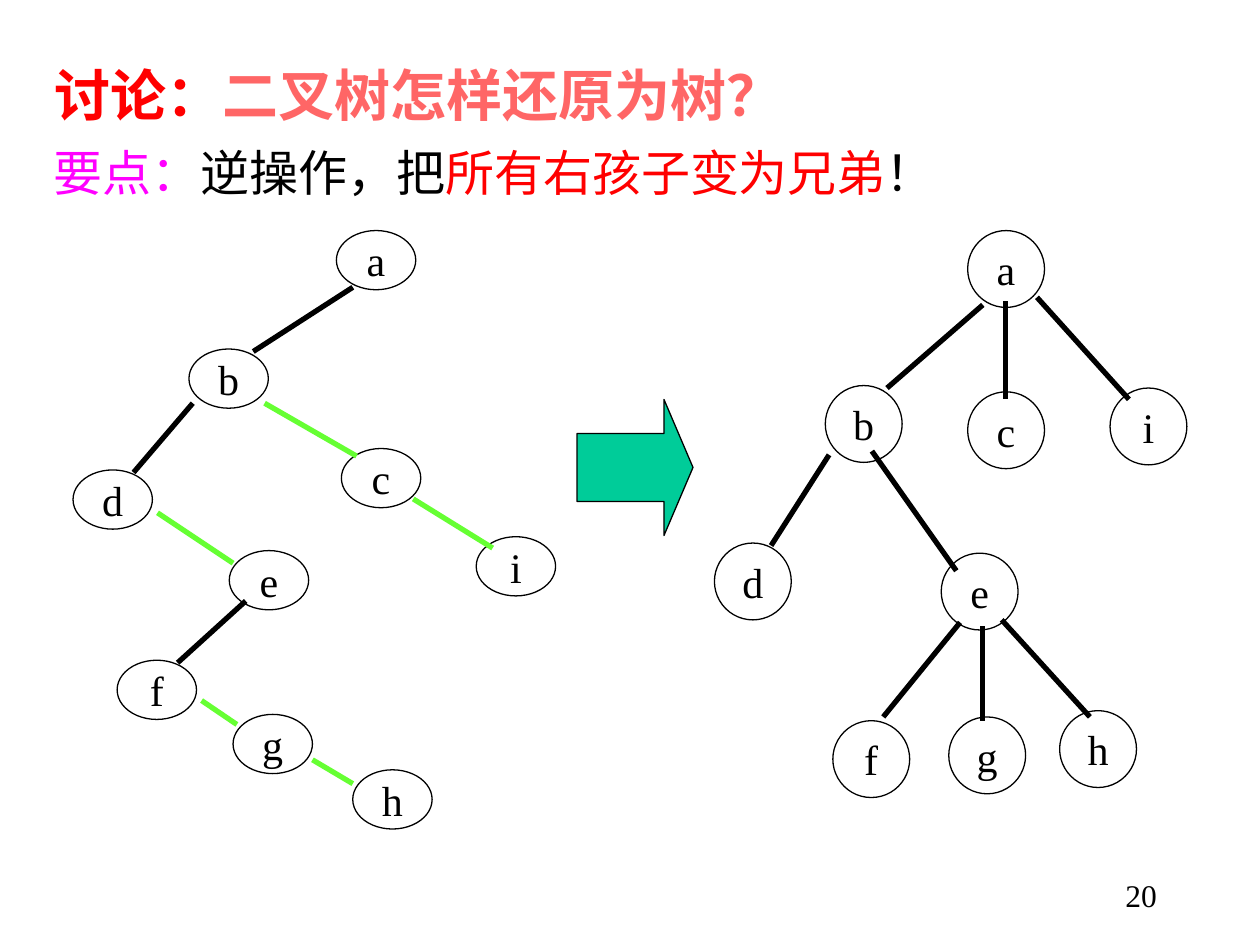
from lxml import etree
from pptx import Presentation
from pptx.dml.color import RGBColor
from pptx.enum import shapes, text
from pptx.oxml.ns import qn
from pptx.util import Inches, Pt

CJK, LATIN = "Noto Sans CJK SC", "Times New Roman"
BLACK, WHITE, GREEN, RED = "000000", "FFFFFF", "66FF33", "FF0000"

TITLE = [("讨论：", RED), ("二叉树怎样还原为树？", "FF6666")]
KEY_POINT = [("要点：", "FF00FF"), ("逆操作，把", BLACK),
             ("所有右孩子变为兄弟", RED), ("！", BLACK)]

# Each tree: node size and fill, top-left corner of each node, edges by colour
BINARY_TREE = {
    "size": (0.63, 0.47), "fill": None,
    "nodes": {"a": (2.67, 1.83), "b": (1.5, 2.77), "c": (2.71, 3.56),
              "d": (0.58, 3.73), "e": (1.82, 4.37), "f": (0.93, 5.24),
              "g": (1.85, 5.67), "h": (2.8, 6.11), "i": (3.78, 4.26)},
    "edges": {
        BLACK: [(2.8, 2.28, 2.01, 2.79), (1.53, 3.2, 1.06, 3.75),
                (1.95, 4.77, 1.41, 5.26)],
        GREEN: [(2.1, 3.2, 2.83, 3.62), (3.28, 3.96, 3.91, 4.35),
                (1.25, 4.07, 1.85, 4.47), (1.6, 5.56, 1.88, 5.75),
                (2.48, 6.03, 2.8, 6.22)],
    },
}
GENERAL_TREE = {
    "size": (0.61, 0.61), "fill": WHITE,
    "nodes": {"a": (7.68, 1.83), "b": (6.55, 3.06), "c": (7.68, 3.11),
              "i": (8.81, 3.08), "d": (5.67, 4.31), "e": (7.47, 4.39),
              "f": (6.61, 5.72), "g": (7.53, 5.69), "h": (8.41, 5.64)},
    "edges": {
        BLACK: [(7.8, 2.42, 7.04, 3.08), (7.98, 2.39, 7.98, 3.17),
                (8.23, 2.36, 8.96, 3.17), (6.58, 3.61, 6.12, 4.33),
                (6.92, 3.58, 7.59, 4.53), (7.62, 4.94, 7.01, 5.69),
                (7.8, 4.97, 7.8, 5.72), (7.95, 4.92, 8.65, 5.69)],
    },
}


def color(value):
    return RGBColor.from_string(value)


def inches(*lengths):
    return [Inches(length) for length in lengths]


def write(shape, runs, size, font=LATIN, bold=False, align=text.PP_ALIGN.LEFT,
          anchor=text.MSO_ANCHOR.TOP, wrap=True):
    frame = shape.text_frame
    frame.word_wrap = wrap
    frame.vertical_anchor = anchor
    para = frame.paragraphs[0]
    para.alignment = align
    for words, hue in runs:
        span = para.add_run()
        span.text = words
        span.font.size = Pt(size)
        span.font.bold = bold
        span.font.color.rgb = color(hue)
        span.font.name = font
        etree.SubElement(span.font._element, qn("a:ea"), typeface=font)


def add_outlined(page, preset, place, fill):
    shape = page.shapes.add_shape(preset, *inches(*place))
    shape.shadow.inherit = False
    if fill:
        shape.fill.solid()
        shape.fill.fore_color.rgb = color(fill)
    else:
        shape.fill.background()
    shape.line.color.rgb = color(BLACK)
    shape.line.width = Pt(0.75)
    return shape


def add_edge(page, ends, hue):
    edge = page.shapes.add_connector(shapes.MSO_CONNECTOR.STRAIGHT, *inches(*ends))
    edge.line.color.rgb = color(hue)
    edge.line.width = Pt(3)
    etree.SubElement(edge._element.spPr, qn("a:effectLst"))


def add_tree(page, tree):
    for name, corner in tree["nodes"].items():
        node = add_outlined(page, shapes.MSO_SHAPE.OVAL,
                            corner + tree["size"], tree["fill"])
        write(node, [(name, BLACK)], 24, align=text.PP_ALIGN.CENTER,
              anchor=text.MSO_ANCHOR.MIDDLE, wrap=False)
    for hue, edges in tree["edges"].items():
        for ends in edges:
            add_edge(page, ends, hue)


def main():
    deck = Presentation()
    deck.slide_width, deck.slide_height = inches(10, 7.5)
    page = deck.slides.add_slide(deck.slide_layouts[5])

    title = page.shapes.title
    title.left, title.top, title.width, title.height = inches(0.33, 0.43, 6.92, 0.63)
    write(title, TITLE, 32, font=CJK, bold=True)
    title.text_frame.auto_size = text.MSO_AUTO_SIZE.NONE

    key_point = page.shapes.add_textbox(*inches(0.33, 1.08, 7.25, 0.64))
    write(key_point, KEY_POINT, 28, font=CJK)

    add_tree(page, BINARY_TREE)
    add_tree(page, GENERAL_TREE)

    arrow = add_outlined(page, shapes.MSO_SHAPE.RIGHT_ARROW,
                         (4.58, 3.17, 0.92, 1.08), "00CC99")
    arrow.adjustments[0], arrow.adjustments[1] = 0.5, 0.25

    number = page.shapes.add_textbox(*inches(7.2, 6.9, 2.08, 0.5))
    write(number, [("20", BLACK)], 18, align=text.PP_ALIGN.RIGHT)

    deck.save("out.pptx")


if __name__ == "__main__":
    main()
